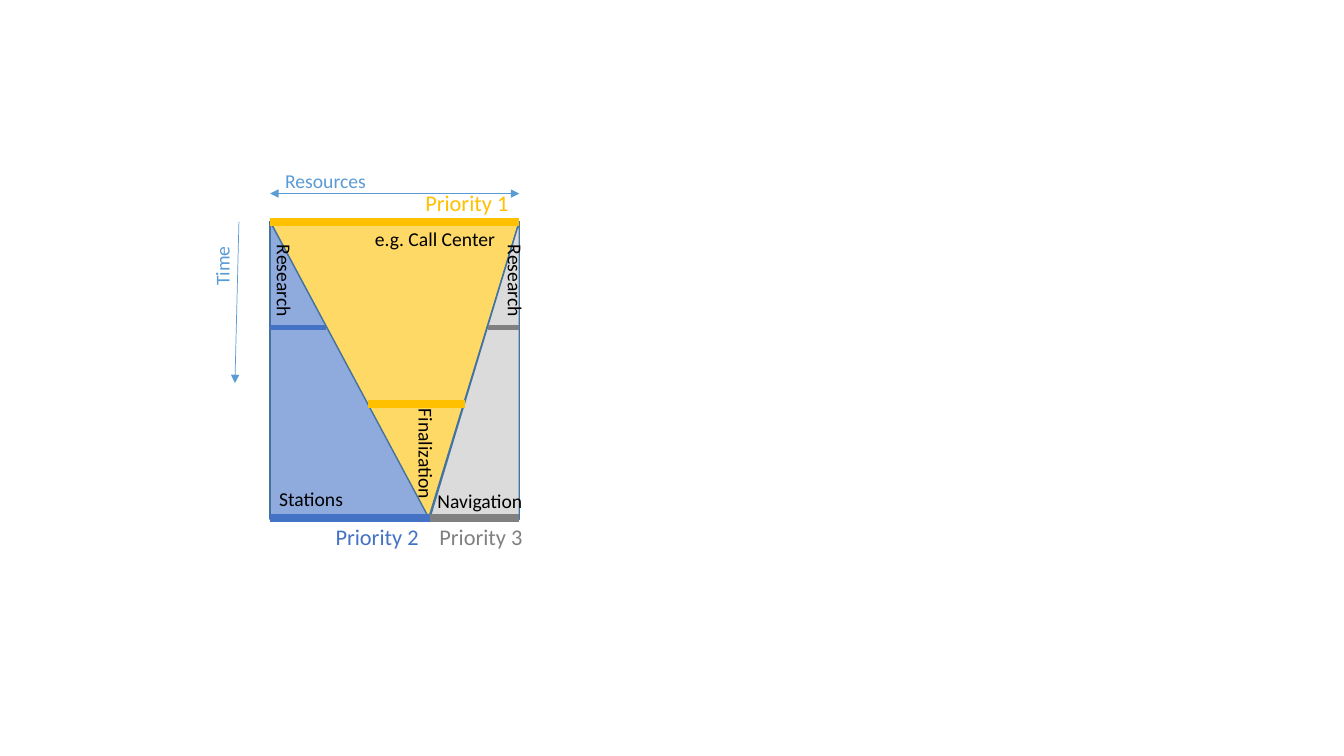
from lxml import etree
from pptx import Presentation
from pptx.dml.color import RGBColor
from pptx.enum.shapes import MSO_CONNECTOR, MSO_SHAPE
from pptx.enum.text import MSO_AUTO_SIZE
from pptx.oxml.ns import qn
from pptx.util import Pt

RECT = MSO_SHAPE.RECTANGLE
TRI = MSO_SHAPE.ISOSCELES_TRIANGLE
STRAIGHT = MSO_CONNECTOR.STRAIGHT
FIT = MSO_AUTO_SIZE.SHAPE_TO_FIT_TEXT
PX = 9144  # 100 px to the inch

GOLD, BLUE, GREY = "FFC000", "4472C4", "808080"
SKY, BLACK, EDGE = "5B9BD5", "000000", "43739E"

# Box that holds the three areas; they meet at x = APEX on its floor
LEFT, TOP, RIGHT, FLOOR, APEX = 268, 220, 515, 515, 426
WIDE, HIGH = RIGHT - LEFT, FLOOR - TOP

# kind, left, width, turn, peak, fill
AREAS = [
    (RECT, LEFT, WIDE, 0, None, None),
    (TRI, LEFT, WIDE, 180, 0.365, "FFD966"),
    (TRI, LEFT, APEX - LEFT, 0, 0, "8FAADC"),
    (TRI, APEX, RIGHT - APEX, 0, 1, "DBDBDB"),
]

# x1, y1, x2, y2, colour, points, arrowheads
LINES = [
    (LEFT, TOP, RIGHT, TOP, GOLD, 5.75, ()),
    (LEFT, 514, APEX, 514, BLUE, 5.75, ()),
    (APEX, 514, RIGHT, 514, GREY, 5.75, ()),
    (LEFT, 325, 323, 325, BLUE, 3, ()),
    (484, 325, RIGHT, 325, GREY, 3, ()),
    (365, 401, 461, 401, GOLD, 5.75, ()),
    (237, TOP, 233, 380, SKY, 0.5, ("tailEnd",)),
    (LEFT, 192, RIGHT, 192, SKY, 0.5, ("headEnd", "tailEnd")),
]

# text, left, top, width, turn, colour
TITLES = [
    ("Priority 1", 412, 183, 104, 0, GOLD),
    ("Priority 2", 323, 514, 104, 0, BLUE),
    ("Priority 3", 426, 514, 104, 0, GREY),
]
NOTES = [
    ("Time", 189, 245, 63, 270, SKY),
    ("Resources", 273, 163, 103, 0, SKY),
    ("e.g. Call Center", 362, 220, 140, 0, BLACK),
    ("Stations", 267, 478, 140, 0, BLACK),
    ("Navigation", 424, 480, 107, 0, BLACK),
    ("Research", 465, 262, 92, 90, BLACK),
    ("Research", 236, 262, 92, 90, BLACK),
    ("Finalization", 367, 434, 111, 90, BLACK),
]


def rgb(code):
    return RGBColor.from_string(code)


def emu(*lengths):
    return [n * PX for n in lengths]


def add_area(shapes, kind, left, wide, turn, peak, fill):
    area = shapes.add_shape(kind, *emu(left, TOP, wide, HIGH))
    area.shadow.inherit = False
    area.rotation = turn
    if peak is not None:
        area.adjustments[0] = peak
    if fill:
        area.fill.solid()
        area.fill.fore_color.rgb = rgb(fill)
    else:
        area.fill.background()
    area.line.color.rgb = rgb(EDGE)
    area.line.width = Pt(1)


def add_line(shapes, x1, y1, x2, y2, color, points, heads):
    line = shapes.add_connector(STRAIGHT, *emu(x1, y1, x2, y2))
    line.line.color.rgb = rgb(color)
    line.line.width = Pt(points)
    props = line._element.spPr
    for head in heads:
        etree.SubElement(props.find(qn("a:ln")), qn("a:" + head), type="triangle")
    etree.SubElement(props, qn("a:effectLst"))


def add_label(shapes, size, high, wrap, text, left, top, wide, turn, color):
    box = shapes.add_textbox(*emu(left, top, wide, high))
    box.rotation = turn
    frame = box.text_frame
    frame.word_wrap = wrap
    frame.auto_size = FIT
    para = frame.paragraphs[0]
    para.text = text
    para.font.name = "Calibri"
    para.font.size = Pt(size)
    para.font.color.rgb = rgb(color)


def main():
    deck = Presentation()
    deck.slide_width, deck.slide_height = emu(1333, 750)
    shapes = deck.slides.add_slide(deck.slide_layouts[6]).shapes
    for area in AREAS:
        add_area(shapes, *area)
    for line in LINES:
        add_line(shapes, *line)
    for title in TITLES:
        add_label(shapes, 16, 37, False, *title)
    for note in NOTES:
        add_label(shapes, 14, 34, True, *note)
    deck.save("out.pptx")


if __name__ == "__main__":
    main()
